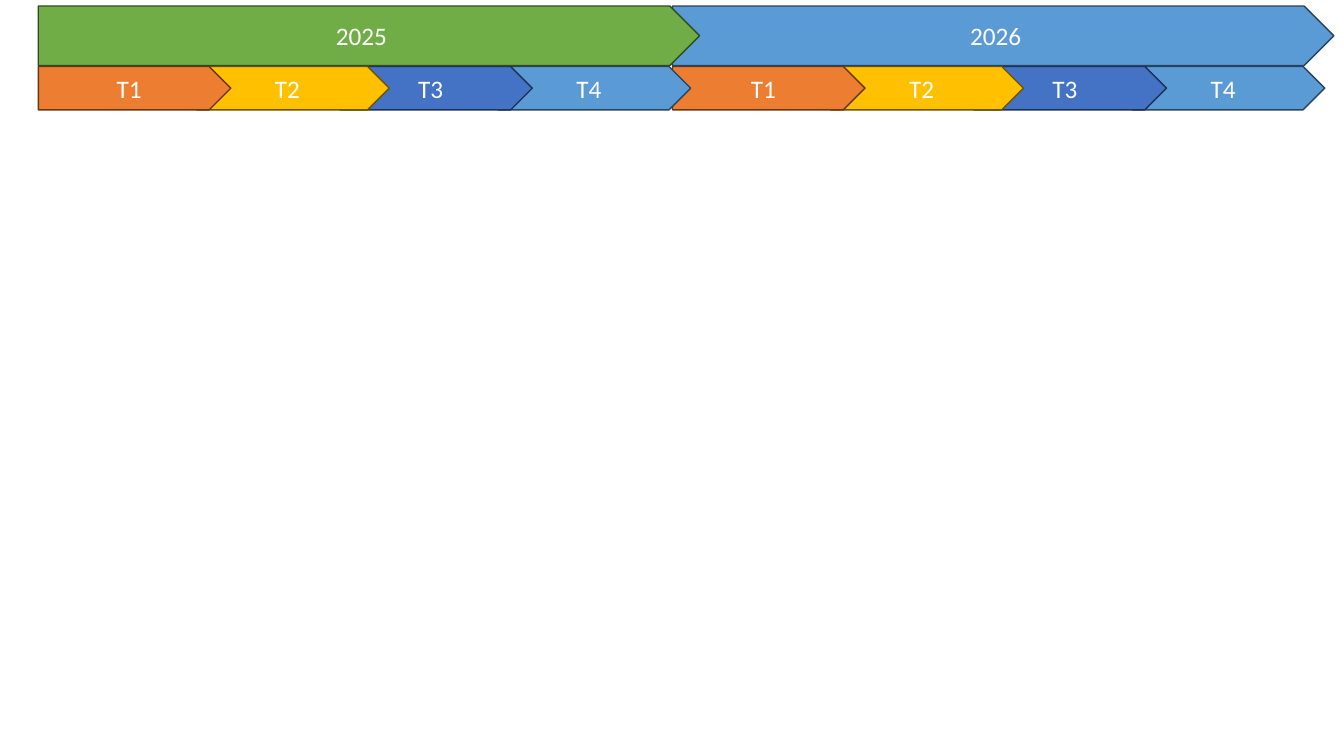
"""Build a two-year timeline banner with quarterly arrows."""
from pptx import Presentation
from pptx.dml.color import RGBColor
from pptx.enum.shapes import MSO_SHAPE
from pptx.enum.text import MSO_ANCHOR, PP_ALIGN
from pptx.util import Inches, Pt

PENTAGON = MSO_SHAPE.PENTAGON
MIDDLE = MSO_ANCHOR.MIDDLE
CENTER = PP_ALIGN.CENTER

THEME = {
    "font": "Calibri",
    "size": Pt(18),
    "line_width": Pt(1),
    "text": "FFFFFF",
    "green": ("70AD47", "314B1F"),
    "orange": ("ED7D31", "673615"),
    "gold": ("FFC000", "6F5400"),
    "indigo": ("4472C4", "1D3155"),
    "blue": ("5B9BD5", "27435D"),
}

YEARS = [("2025", "green"), ("2026", "blue")]
QUARTERS = [("T1", "orange", 0), ("T2", "gold", 1.57), ("T3", "indigo", 2.99), ("T4", "blue", 4.56)]
TIMELINE_LEFT = 0.38
YEAR_PITCH = 6.29

presentation = Presentation()
presentation.slide_width = Inches(13.33)
presentation.slide_height = Inches(7.5)
slide = presentation.slides.add_slide(presentation.slide_layouts[6])


def add_arrow(text, *, left, top, width, height, color):
    fill_color, line_color = THEME[color]
    shape = slide.shapes.add_shape(PENTAGON, Inches(left), Inches(top), Inches(width), Inches(height))
    shape.adjustments[0] = 0.5
    shape.shadow.inherit = False
    shape.fill.solid()
    shape.fill.fore_color.rgb = RGBColor.from_string(fill_color)
    shape.line.color.rgb = RGBColor.from_string(line_color)
    shape.line.width = THEME["line_width"]
    shape.text_frame.vertical_anchor = MIDDLE
    paragraph = shape.text_frame.paragraphs[0]
    paragraph.alignment = CENTER
    run = paragraph.add_run()
    run.text = text
    run.font.name = THEME["font"]
    run.font.size = THEME["size"]
    run.font.color.rgb = RGBColor.from_string(THEME["text"])


for year_index in reversed(range(len(YEARS))):
    year_left = TIMELINE_LEFT + year_index * YEAR_PITCH
    for quarter, color, offset in reversed(QUARTERS):
        add_arrow(quarter, left=year_left + offset, top=0.66, width=1.91, height=0.43, color=color)

for year_index, (year, color) in reversed(list(enumerate(YEARS))):
    year_left = TIMELINE_LEFT + year_index * YEAR_PITCH
    add_arrow(year, left=year_left, top=0.06, width=6.56, height=0.59, color=color)

presentation.save("out.pptx")
